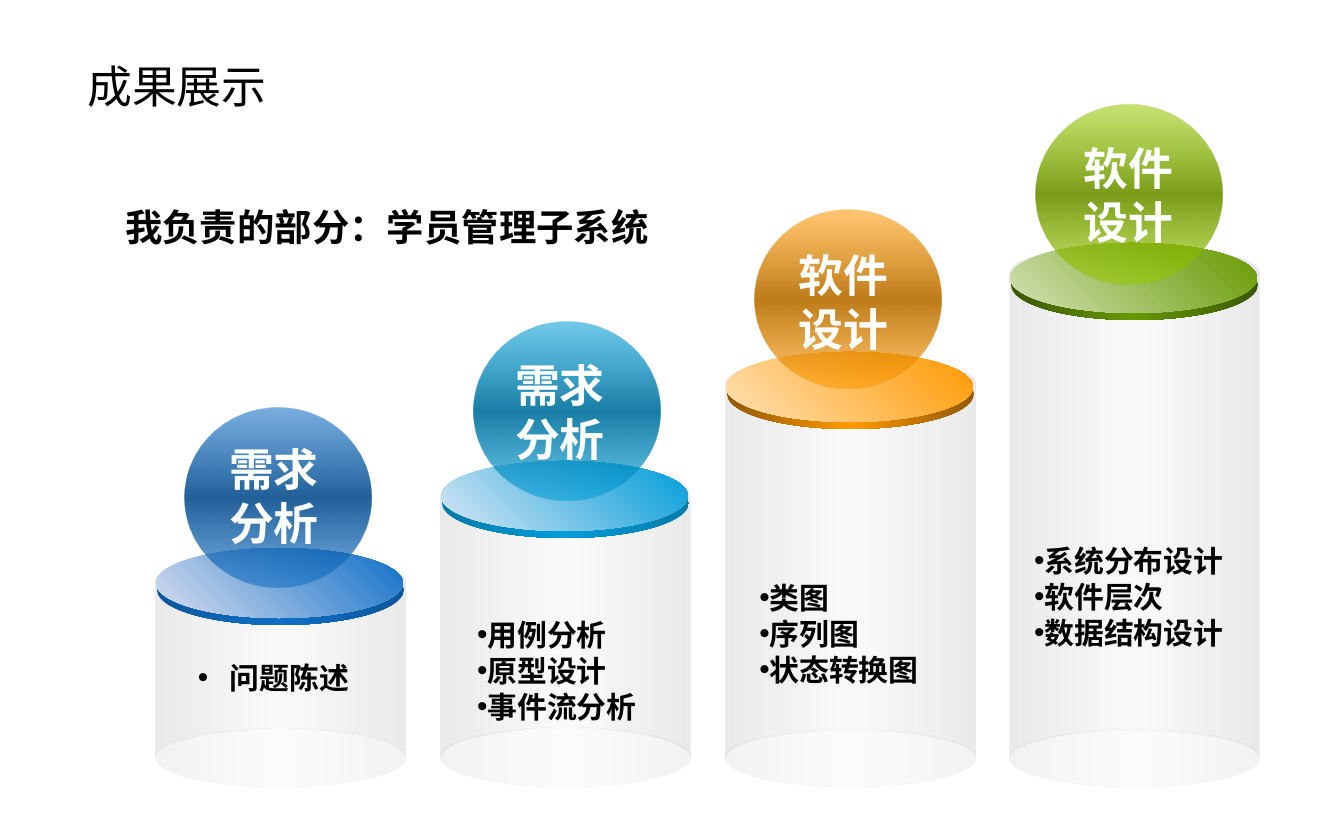
from lxml.etree import SubElement
from pptx import Presentation
from pptx.dml.color import RGBColor
from pptx.enum.shapes import MSO_SHAPE
from pptx.enum.text import PP_ALIGN
from pptx.oxml.ns import qn
from pptx.util import Pt

PX = 914400 / 134.4  # EMU per px
THEME = {
    "ink": "010000", "title": "000000", "light": "FEFFFF",
    "glass": ("959595", "EAEAEA"),
    "font": "Calibri", "head": "Noto Sans CJK SC",
    "big": 24, "mid": 20, "small": 16,
    # main, rim edge, disc highlight, ball middle
    "blue": ("0F6FC6", "0C579B", "D8DEEF", "0B4F8E"),
    "cyan": ("009DD9", "007BAA", "D8E6F4", "00709B"),
    "orange": ("FF9900", "925800", "FFE2B6", "B66D00"),
    "green": ("669900", "3A5800", "D3E2B6", "6D9200"),
    "lime": "99CC00",
}

deck = Presentation()
deck.slide_width, deck.slide_height = round(1344 * PX), round(840 * PX)
slide = deck.slides.add_slide(deck.slide_layouts[6])


def solid(kind, box, stops, angle):
    """Add a borderless shape with a gradient of (position, colour, opacity) stops."""
    shape = slide.shapes.add_shape(kind, *[round(v * PX) for v in box])
    shape.shadow.inherit = False
    shape.line.fill.background()
    shape.fill.gradient()
    grad = shape._element.spPr.find(qn("a:gradFill"))
    for part in list(grad):
        grad.remove(part)
    group = SubElement(grad, qn("a:gsLst"))
    for place, color, alpha in stops:
        stop = SubElement(group, qn("a:gs"), pos=str(place * 1000))
        tone = SubElement(stop, qn("a:srgbClr"), val=color)
        if alpha < 100:
            SubElement(tone, qn("a:alpha"), val=str(alpha * 1000))
    SubElement(grad, qn("a:lin"), ang=str(angle * 60000), scaled="0")
    return shape


def label(box, lines, size, color, font=THEME["font"], bold=True, wrap=True, indent=None):
    """Add a text box; an indent in px, even 0, turns the lines into bullets."""
    frame = slide.shapes.add_textbox(*[round(v * PX) for v in box]).text_frame
    frame.word_wrap = wrap
    frame.text = "\n".join(lines)
    for para in frame.paragraphs:
        if indent is not None:
            props = para._p.get_or_add_pPr()
            props.set("marL", str(round(indent * PX)))
            props.set("indent", str(round(-indent * PX)))
            SubElement(props, qn("a:buFont"), typeface="Arial")
            SubElement(props, qn("a:buChar"), char="•")
        for run in para.runs:
            run.font.size, run.font.bold, run.font.name = Pt(size), bold, font
            run.font.color.rgb = RGBColor.from_string(color)
    return frame


label((74, 52, 208, 67), ["成果展示"], THEME["big"], THEME["title"],
      THEME["head"], bold=False, wrap=False)
label((112, 198, 601, 59), ["我负责的部分：学员管理子系统"], THEME["mid"], THEME["ink"])

# colour, disc corner, can top, can rim ratio, ball corner, name, name corner, list corner, list
columns = [
    ("blue", (156, 548), 554, 0.25, (185, 408), "需求分析", (216, 435),
     (153, 653), ["问题陈述"]),
    ("cyan", (441, 461), 469, 0.24, (474, 322), "需求分析", (502, 351),
     (464, 610), ["用例分析", "原型设计", "事件流分析"]),
    ("orange", (726, 352), 356, 0.23, (755, 210), "软件设计", (785, 241),
     (746, 573), ["类图", "序列图", "状态转换图"]),
    ("green", (1010, 243), 245, 0.23, (1036, 105), "软件设计", (1070, 134),
     (1021, 536), ["系统分布设计", "软件层次", "数据结构设计"]),
]
base = 787
edge, core = THEME["glass"]
for hue, (x, y), top, ratio, ball, name, spot, place, items in columns:
    main, dark, pale, deep = THEME[hue]
    can = solid(MSO_SHAPE.CAN, (x, top, 249, base - top),
                [(0, edge, 20), (50, core, 20), (100, edge, 20)], 0)
    can.adjustments[0] = ratio
    can._element.spPr.find(qn("a:xfrm")).set("flipV", "1")
    solid(MSO_SHAPE.OVAL, (x + 1, y + 7, 247, 70),
          [(0, dark, 100), (50, main, 100), (100, dark, 100)], 0)
    solid(MSO_SHAPE.OVAL, (x, y, 247, 70), [(0, pale, 100), (100, main, 100)], 315)
    single = len(items) == 1
    text = label((*place, 241, 50 if single else 122), items, THEME["small"],
                 THEME["ink"], indent=32 if single else 0)
    if single:
        text.paragraphs[0].alignment = PP_ALIGN.CENTER
    glow = THEME["lime"] if hue == "green" else main
    solid(MSO_SHAPE.OVAL, (*ball, 186, 179),
          [(0, glow, 55), (50, deep, 90), (100, glow, 55)], 90)
    label((*spot, 130, 122), [name], THEME["big"], THEME["light"])

deck.save("out.pptx")
